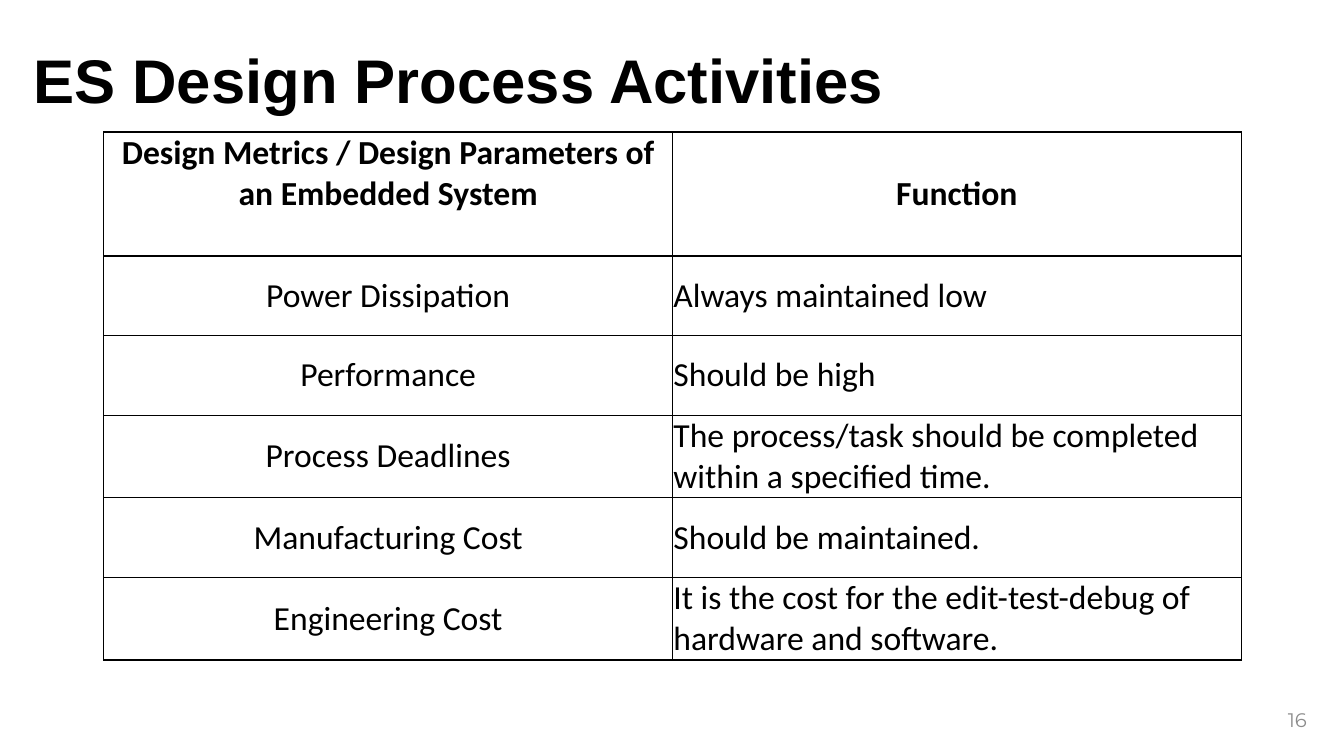
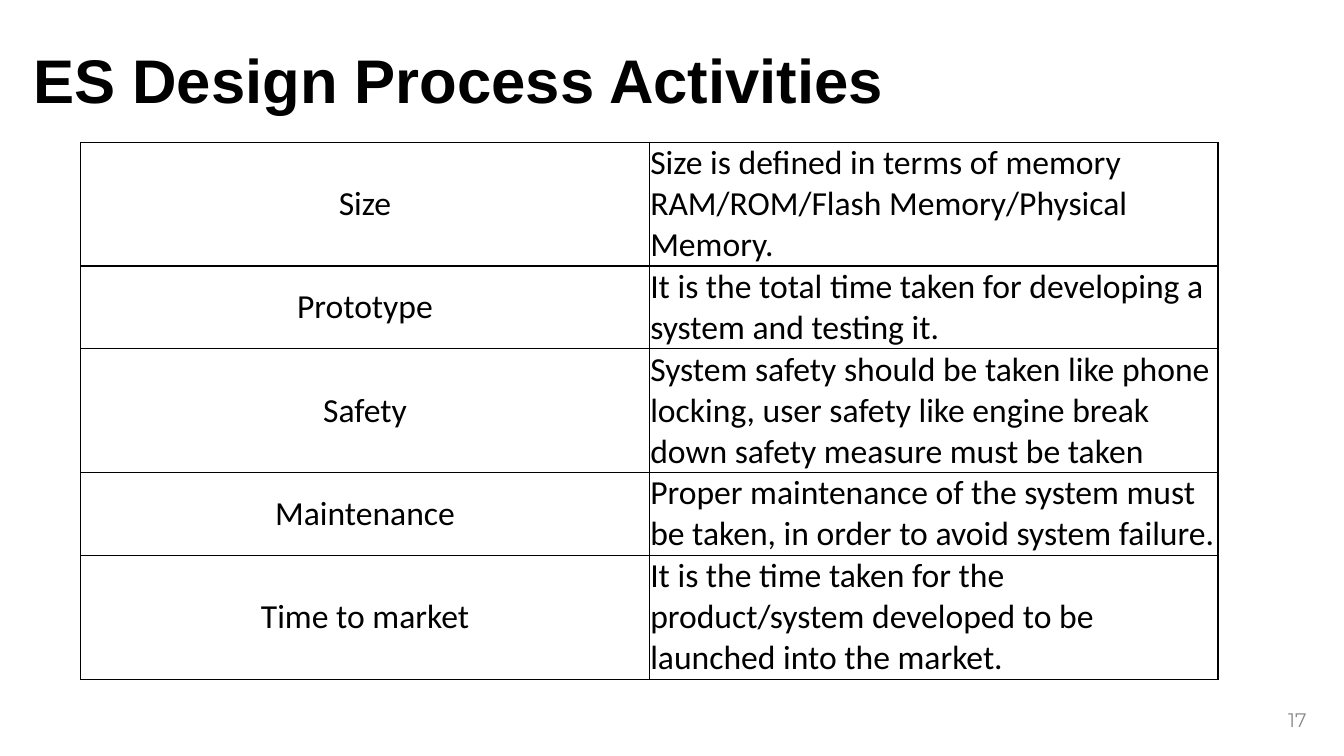
from dataclasses import dataclass

from lxml.etree import SubElement
from pptx import Presentation
from pptx.dml.color import RGBColor
from pptx.enum.text import MSO_ANCHOR as Anchor, MSO_AUTO_SIZE as AutoSize, PP_ALIGN as Align
from pptx.oxml.ns import qn
from pptx.util import Inches, Pt

HEADING = "ES Design Process Activities"
METRIC_PAGES = [
    {
        "number": 16,
        "corner": (1.03, 1.31),
        "header": ("Design Metrics / Design Parameters of an Embedded System", "Function", 3),
        "metrics": [
            ("Power Dissipation", "Always maintained low", 1),
            ("Performance", "Should be high", 1),
            ("Process Deadlines", "The process/task should be completed within a specified time.", 2),
            ("Manufacturing Cost", "Should be maintained.", 1),
            ("Engineering Cost", "It is the cost for the edit-test-debug of hardware and software.", 2),
        ],
    },
    {
        "number": 17,
        "corner": (0.8, 1.41),
        "header": None,
        "metrics": [
            ("Size", "Size is defined in terms of memory RAM/ROM/Flash Memory/Physical Memory.", 3),
            ("Prototype", "It is the total time taken for developing a system and testing it.", 2),
            ("Safety", "System safety should be taken like phone locking, user safety like "
                       "engine break down safety measure must be taken", 3),
            ("Maintenance", "Proper maintenance of the system must be taken, in order to avoid "
                            "system failure.", 2),
            ("Time to market", "It is the time taken for the product/system developed to be "
                               "launched into the market.", 3),
        ],
    },
]


@dataclass(frozen=True)
class Theme:
    ink: str = "000000"
    muted: str = "8C8C8C"
    paper: str = "FFFFFF"
    title_font: str = "Arial"
    body_font: str = "Calibri"
    number_font: str = "Montserrat"
    title_size: int = 44
    body_size: int = 24
    number_size: int = 14
    rule: int = 1


THEME = Theme()
SLIDE_SIZE = (13.33, 7.5)
TITLE_BOX = (0.23, 0.3, 12.83, 1.06)
NUMBER_BOX = (12.51, 6.94, 0.55, 0.4)
COLUMN = 5.64
LINE = 0.41
MIN_ROW = 0.79
SIDE_INSET = 0.01


def style(paragraph, font_name, size, color, bold=False, align=Align.LEFT):
    paragraph.alignment = align
    for run in paragraph.runs:
        run.font.name = font_name
        run.font.size = Pt(size)
        run.font.bold = bold
        run.font.color.rgb = RGBColor.from_string(color)


def add_heading(slide):
    title = slide.shapes.title
    title.left, title.top, title.width, title.height = map(Inches, TITLE_BOX)
    frame = title.text_frame
    frame.text = HEADING
    frame.auto_size = AutoSize.NONE
    frame.vertical_anchor = Anchor.MIDDLE
    frame.paragraphs[0].line_spacing = 0.9
    style(frame.paragraphs[0], THEME.title_font, THEME.title_size, THEME.ink, bold=True)


def add_number(slide, number):
    frame = slide.shapes.add_textbox(*map(Inches, NUMBER_BOX)).text_frame
    frame.word_wrap = True
    frame.vertical_anchor = Anchor.MIDDLE
    frame.text = str(number)
    style(frame.paragraphs[0], THEME.number_font, THEME.number_size, THEME.muted, align=Align.RIGHT)


def outline(cell):
    properties = cell._tc.get_or_add_tcPr()
    for side in ("a:lnL", "a:lnR", "a:lnT", "a:lnB"):
        border = SubElement(properties, qn(side), w=str(Pt(THEME.rule)))
        fill = SubElement(border, qn("a:solidFill"))
        SubElement(fill, qn("a:srgbClr"), val=THEME.ink)


def fill_cell(cell, text, bold, align):
    outline(cell)
    cell.fill.background()
    cell.vertical_anchor = Anchor.MIDDLE
    cell.margin_left = cell.margin_right = Inches(SIDE_INSET)
    cell.margin_top = cell.margin_bottom = 0
    cell.text_frame.text = text
    style(cell.text_frame.paragraphs[0], THEME.body_font, THEME.body_size, THEME.ink, bold, align)


def add_metrics(slide, corner, header, metrics):
    rows = ([header] if header else []) + metrics
    heights = [max(MIN_ROW, lines * LINE) for _, _, lines in rows]
    frame = slide.shapes.add_table(
        len(rows), 2, *map(Inches, (*corner, 2 * COLUMN, sum(heights))))
    table = frame.table
    table.first_row = bool(header)
    table.horz_banding = False
    for column in table.columns:
        column.width = Inches(COLUMN)
    for index, ((metric, function, _), height) in enumerate(zip(rows, heights)):
        is_header = bool(header) and index == 0
        table.rows[index].height = Inches(height)
        fill_cell(table.cell(index, 0), metric, is_header, Align.CENTER)
        fill_cell(table.cell(index, 1), function, is_header,
                  Align.CENTER if is_header else Align.LEFT)
    if header:
        table.cell(0, 0).margin_bottom = Inches(LINE)


def main():
    deck = Presentation()
    deck.slide_width, deck.slide_height = map(Inches, SLIDE_SIZE)
    background = deck.slide_master.background.fill
    background.solid()
    background.fore_color.rgb = RGBColor.from_string(THEME.paper)
    title_only = deck.slide_layouts[5]
    for page in METRIC_PAGES:
        slide = deck.slides.add_slide(title_only)
        add_heading(slide)
        add_metrics(slide, page["corner"], page["header"], page["metrics"])
        add_number(slide, page["number"])
    deck.save("out.pptx")


if __name__ == "__main__":
    main()
